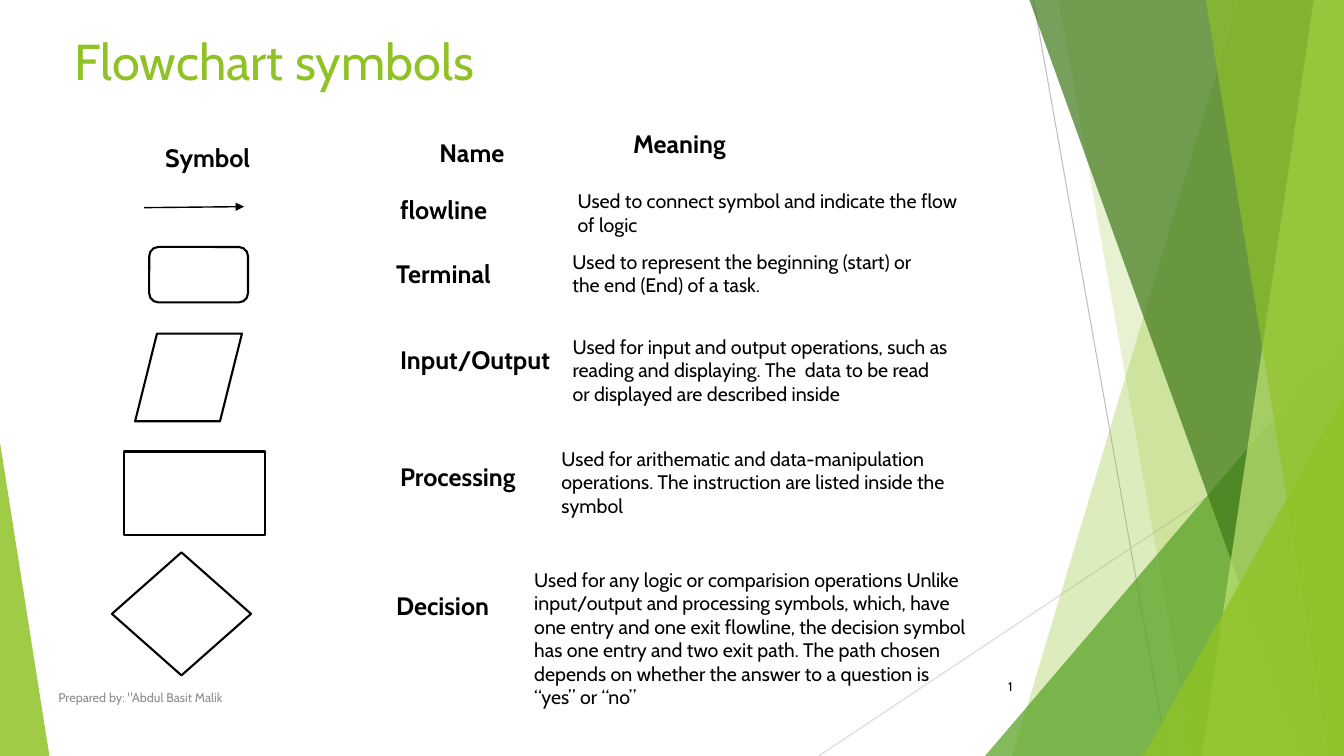
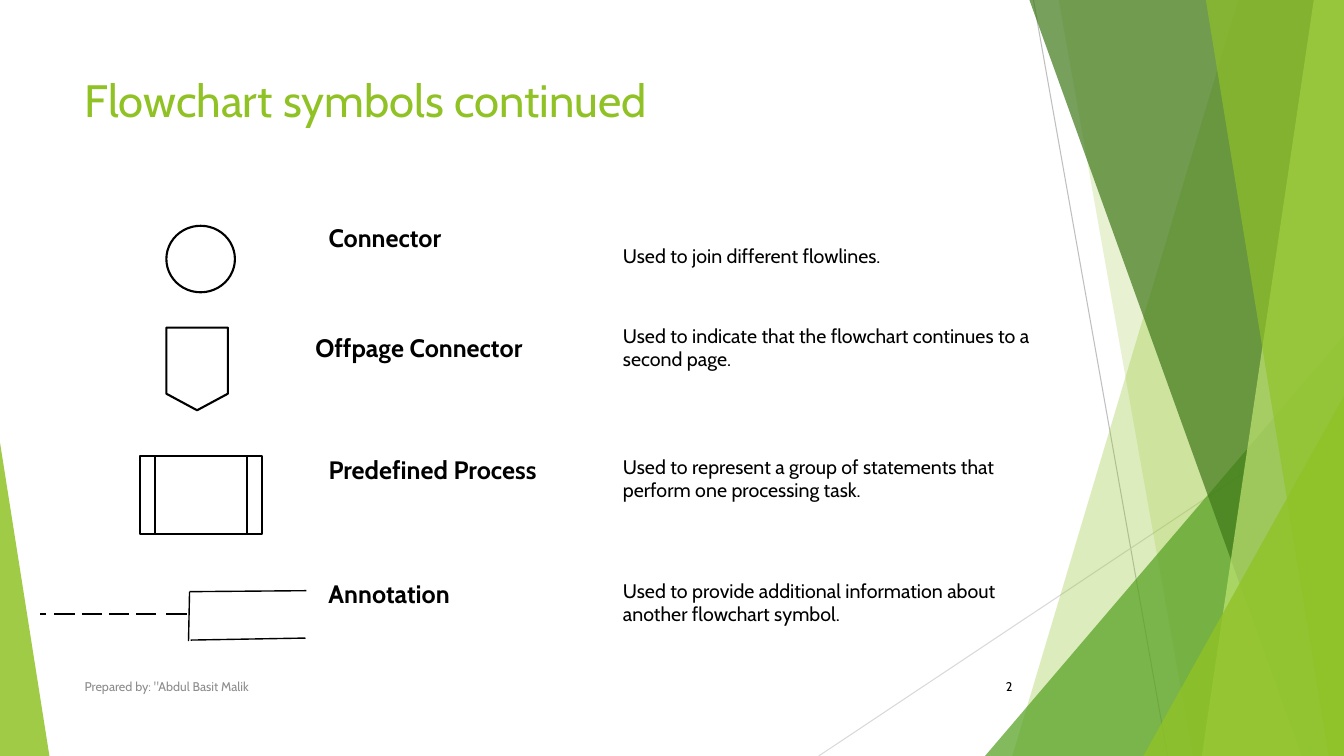
from dataclasses import dataclass

from lxml.etree import SubElement
from pptx import Presentation
from pptx.dml.color import RGBColor
from pptx.enum.shapes import MSO_CONNECTOR, MSO_SHAPE
from pptx.enum.text import MSO_ANCHOR, PP_ALIGN
from pptx.oxml.ns import qn
from pptx.util import Inches, Pt

FONT = "Cabin"
BLACK = RGBColor(0x00, 0x00, 0x00)
WHITE = RGBColor(0xFF, 0xFF, 0xFF)
FOOTER_GRAY = RGBColor(0x8C, 0x8C, 0x8C)
LINE_GRAY = RGBColor(0xBF, 0xBF, 0xBF)
PALE_GRAY = RGBColor(0xD9, 0xD9, 0xD9)
LIME = RGBColor(0x90, 0xC2, 0x26)
LEAF = RGBColor(0x54, 0xA0, 0x21)
FOREST = RGBColor(0x3F, 0x78, 0x19)
MINT = RGBColor(0xC0, 0xE4, 0x74)

# The grid has cells of one inch; boxes are given in columns and rows
CELL = Inches(1)
COLUMNS, ROWS = 13.33, 7.5


@dataclass
class Box:
    left: float
    top: float
    width: float
    height: float

    def inner(self, left, top, width, height):
        return Box(self.left + left, self.top + top, width, height)

    def point(self, x, y):
        return round((self.left + x) * CELL), round((self.top + y) * CELL)

    def frame(self):
        return (*self.point(0, 0), round(self.width * CELL), round(self.height * CELL))


SLIDE = Box(0, 0, COLUMNS, ROWS)


# Basic pieces
def add_text(page, box, text, size, color=BLACK, bold=False,
             align=PP_ALIGN.LEFT, anchor=MSO_ANCHOR.TOP):
    frame = page.shapes.add_textbox(*box.frame()).text_frame
    frame.word_wrap = True
    frame.vertical_anchor = anchor
    frame.text = text
    para = frame.paragraphs[0]
    para.alignment = align
    font = para.runs[0].font
    font.name, font.size, font.bold = FONT, Pt(size), bold
    font.color.rgb = color


def add_line(page, box, start, end, color=BLACK, width=1, arrow=False):
    line = page.shapes.add_connector(
        MSO_CONNECTOR.STRAIGHT, *box.point(*start), *box.point(*end))
    line.line.color.rgb = color
    line.line.width = Pt(width)
    properties = line.element.spPr
    if arrow:
        SubElement(properties.find(qn("a:ln")), qn("a:tailEnd"), type="triangle")
    SubElement(properties, qn("a:effectLst"))


def tint(shape, color, opacity):
    shape.shadow.inherit = False
    shape.line.fill.background()
    shape.fill.solid()
    shape.fill.fore_color.rgb = color
    color_node = shape.element.spPr.find(qn("a:solidFill"))[0]
    SubElement(color_node, qn("a:alpha"), val=str(opacity * 1000))


def add_band(page, box, top_x, bottom_x, color, opacity):
    """Band from a slanted left edge to the right side of the box."""
    builder = page.shapes.build_freeform(*box.point(top_x, 0))
    builder.add_line_segments([
        box.point(box.width, 0), box.point(box.width, box.height),
        box.point(bottom_x, box.height)])
    tint(builder.convert_to_shape(), color, opacity)


def add_wedge(page, box, left, width, height, peak, color, opacity):
    """Triangle standing on the bottom of the box."""
    place = box.inner(left, box.height - height, width, height)
    wedge = page.shapes.add_shape(MSO_SHAPE.ISOSCELES_TRIANGLE, *place.frame())
    wedge.adjustments[0] = peak
    tint(wedge, color, opacity)


# Shared regions
def add_backdrop(page, box):
    add_line(page, box, (10.25, 0), (11.58, box.height), LINE_GRAY, 0.75)
    add_line(page, box, (box.width, 4.03), (8.12, box.height), PALE_GRAY, 0.75)
    add_band(page, box, 12.28, 10.04, LIME, 30)
    add_band(page, box, 10.5, 11.83, LIME, 20)
    add_wedge(page, box, 9.77, 3.56, 4.17, 1, LEAF, 72)
    add_band(page, box, 10.21, 12.91, FOREST, 70)
    add_band(page, box, 13.03, 11.92, MINT, 70)
    add_band(page, box, 11.96, 13.18, LIME, 65)
    add_wedge(page, box, 11.34, 1.99, 3.57, 1, LIME, 80)
    add_wedge(page, box, 0, 0.49, 3.11, 0, LIME, 85)


def add_footer(page, box, number):
    add_text(page, box, 'Prepared by: "Abdul Basit Malik', 9, FOOTER_GRAY,
             anchor=MSO_ANCHOR.MIDDLE)
    add_text(page, SLIDE.inner(9.39, 6.61, 0.75, 0.4), str(number), 9,
             align=PP_ALIGN.RIGHT, anchor=MSO_ANCHOR.MIDDLE)


# Symbols, each drawn relative to its row
def outline(kind, left, top, width, height, filled=False):
    def draw(page, row):
        symbol = page.shapes.add_shape(kind, *row.inner(left, top, width, height).frame())
        symbol.shadow.inherit = False
        symbol.line.color.rgb = BLACK
        symbol.line.width = Pt(1.5)
        if filled:
            symbol.fill.solid()
            symbol.fill.fore_color.rgb = WHITE
        else:
            symbol.fill.background()
    return draw


def draw_flowline(page, row):
    add_line(page, row, (0.43, 0.18), (1.42, 0.17), arrow=True)


def draw_annotation(page, row):
    dashes = [(-0.6, 0.06)] + [(-0.46 + 0.27 * step, 0.2) for step in range(4)] + [(0.65, 0.2)]
    for left, length in dashes:
        add_line(page, row, (left, 0.4), (left + length, 0.4))
    add_line(page, row, (0.88, 0.18), (0.87, 0.67))
    add_line(page, row, (0.88, 0.18), (2.04, 0.17))
    add_line(page, row, (0.89, 0.66), (2.03, 0.64))


def add_symbol_row(page, row, draw, name, name_at, meaning, meaning_at):
    """name_at: left, width; meaning_at: left, top, width, height."""
    draw(page, row)
    name_left, name_width = name_at
    add_text(page, row.inner(name_left, 0, name_width, 0.4), name, 18, bold=True)
    add_text(page, row.inner(*meaning_at), meaning, 14)


def add_symbol_table(page, box, rows):
    for top, *cells in rows:
        add_symbol_row(page, box.inner(0, top, box.width, 1), *cells)


def add_headings(page, box):
    for text, left, top, width in [("Symbol", 0.54, 0.14, 1.49),
                                   ("Name", 3.26, 0.09, 1.05),
                                   ("Meaning", 5.18, 0, 3.41)]:
        add_text(page, box.inner(left, top, width, 0.4), text, 18, bold=True)


# Rows: top, symbol, name, name place, meaning, meaning place
BASIC_ROWS = [
    (0, draw_flowline, "flowline", (2.87, 1.17),
     "Used to connect symbol and indicate the flow of logic",
     (4.63, -0.05, 4.1, 0.57)),
    (0.63, outline(MSO_SHAPE.ROUNDED_RECTANGLE, 0.48, -0.06, 0.98, 0.55, True),
     "Terminal", (2.83, 1.24),
     "Used to represent the beginning (start) or the end (End) of a task.",
     (4.58, -0.08, 3.74, 0.57)),
    (1.49, outline(MSO_SHAPE.PARALLELOGRAM, 0.34, -0.06, 1.06, 0.87),
     "Input/Output", (2.87, 1.93),
     "Used for input and output operations, such as reading and displaying. "
     "The  data to be read or displayed are described inside",
     (4.58, -0.1, 3.95, 0.81)),
    (2.65, outline(MSO_SHAPE.RECTANGLE, 0.23, -0.05, 1.4, 0.83, True),
     "Processing", (2.87, 1.79),
     "Used for arithematic and data-manipulation operations. "
     "The instruction are listed inside the symbol",
     (4.47, -0.15, 4.17, 0.81)),
    (3.93, outline(MSO_SHAPE.DIAMOND, 0.11, -0.33, 1.38, 1.22, True),
     "Decision", (2.83, 1.68),
     "Used for any logic or comparision operations Unlike input/output and "
     "processing symbols, which, have one entry and one exit flowline, the "
     "decision symbol has one entry and two exit path. The path chosen depends "
     "on whether the answer to a question is \u201cyes\u201d or \u201cno\u201d",
     (4.2, -0.23, 4.51, 1.51)),
]
FURTHER_ROWS = [
    (0, outline(MSO_SHAPE.OVAL, 0.65, 0.08, 0.68, 0.66),
     "Connector", (2.16, 1.42),
     "Used to join different flowlines.", (5.08, 0.21, 3.46, 0.34)),
    (1.09, outline(MSO_SHAPE.FLOWCHART_OFFPAGE_CONNECTOR, 0.65, 0, 0.61, 0.82),
     "Offpage Connector", (2.03, 2.64),
     "Used to indicate that the flowchart continues to a second page.",
     (5.08, -0.09, 4.3, 0.57)),
    (2.3, outline(MSO_SHAPE.FLOWCHART_PREDEFINED_PROCESS, 0.39, 0.06, 1.21, 0.78),
     "Predefined Process", (2.16, 2.71),
     "Used to represent a group of statements that perform one processing task.",
     (5.08, 0, 4.2, 0.57)),
    (3.53, draw_annotation, "Annotation", (2.16, 1.94),
     "Used to provide additional information about another flowchart symbol.",
     (5.08, 0, 4.06, 0.57)),
]


def add_page(deck, number, title, title_box, title_size, table_box, rows, footer_box):
    page = deck.slides.add_slide(deck.slide_layouts[6])
    add_backdrop(page, SLIDE)
    add_text(page, title_box, title, title_size, LIME)
    add_symbol_table(page, table_box, rows)
    add_footer(page, footer_box, number)
    return page


deck = Presentation()
deck.slide_width = round(COLUMNS * CELL)
deck.slide_height = round(ROWS * CELL)

basics = add_page(deck, 1, "Flowchart symbols", SLIDE.inner(0.64, 0.25, 11.5, 1.45), 36,
                  SLIDE.inner(1, 1.88, 8.71, 5.2), BASIC_ROWS,
                  SLIDE.inner(0.48, 6.72, 6.89, 0.4))
add_headings(basics, SLIDE.inner(1, 1.22, 8.71, 0.54))

add_page(deck, 2, "Flowchart symbols continued", SLIDE.inner(0.74, 0.67, 9.4, 0.97), 32.4,
         SLIDE.inner(1, 2.16, 9.38, 4.2), FURTHER_ROWS,
         SLIDE.inner(0.74, 6.61, 6.89, 0.4))

deck.save("out.pptx")
